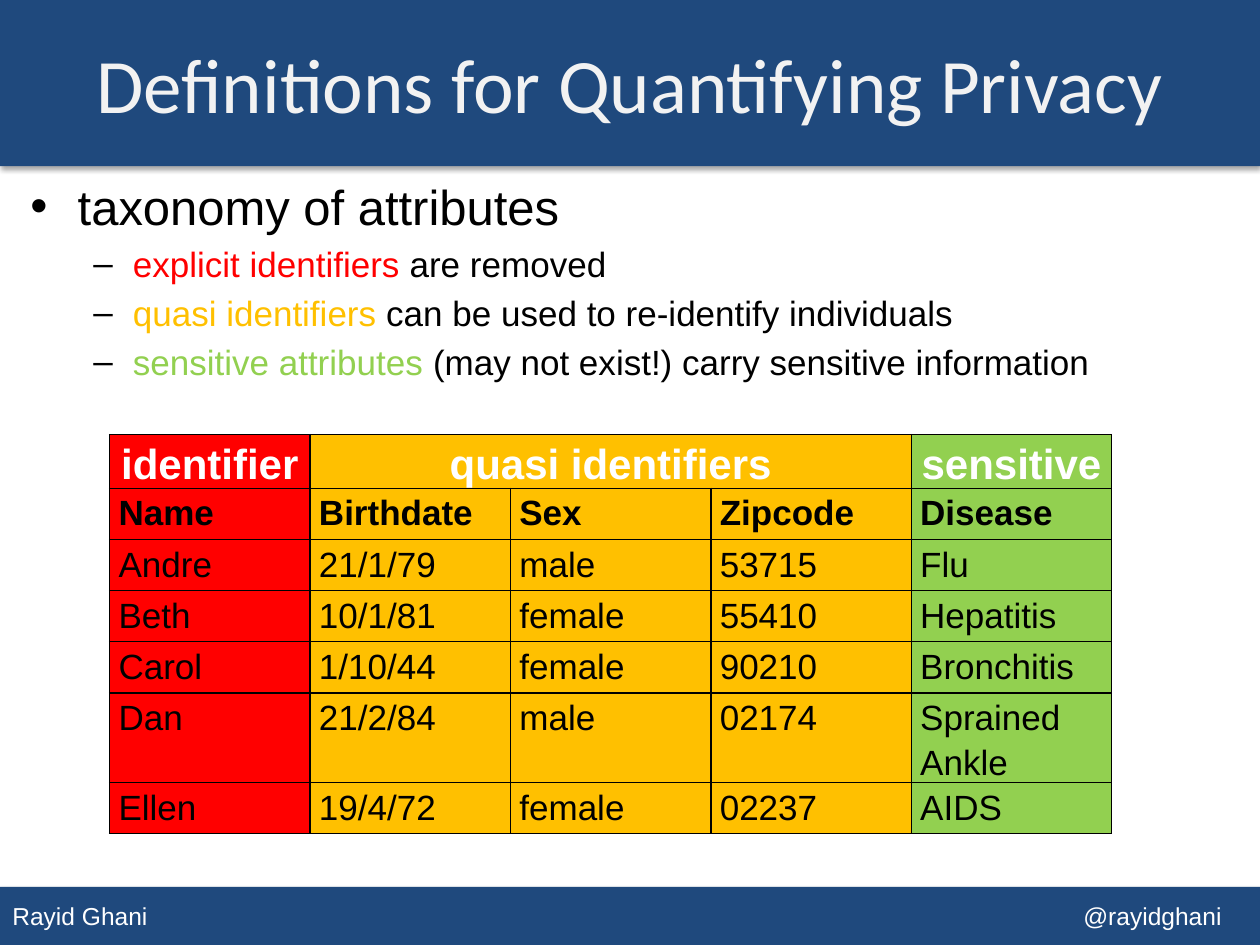
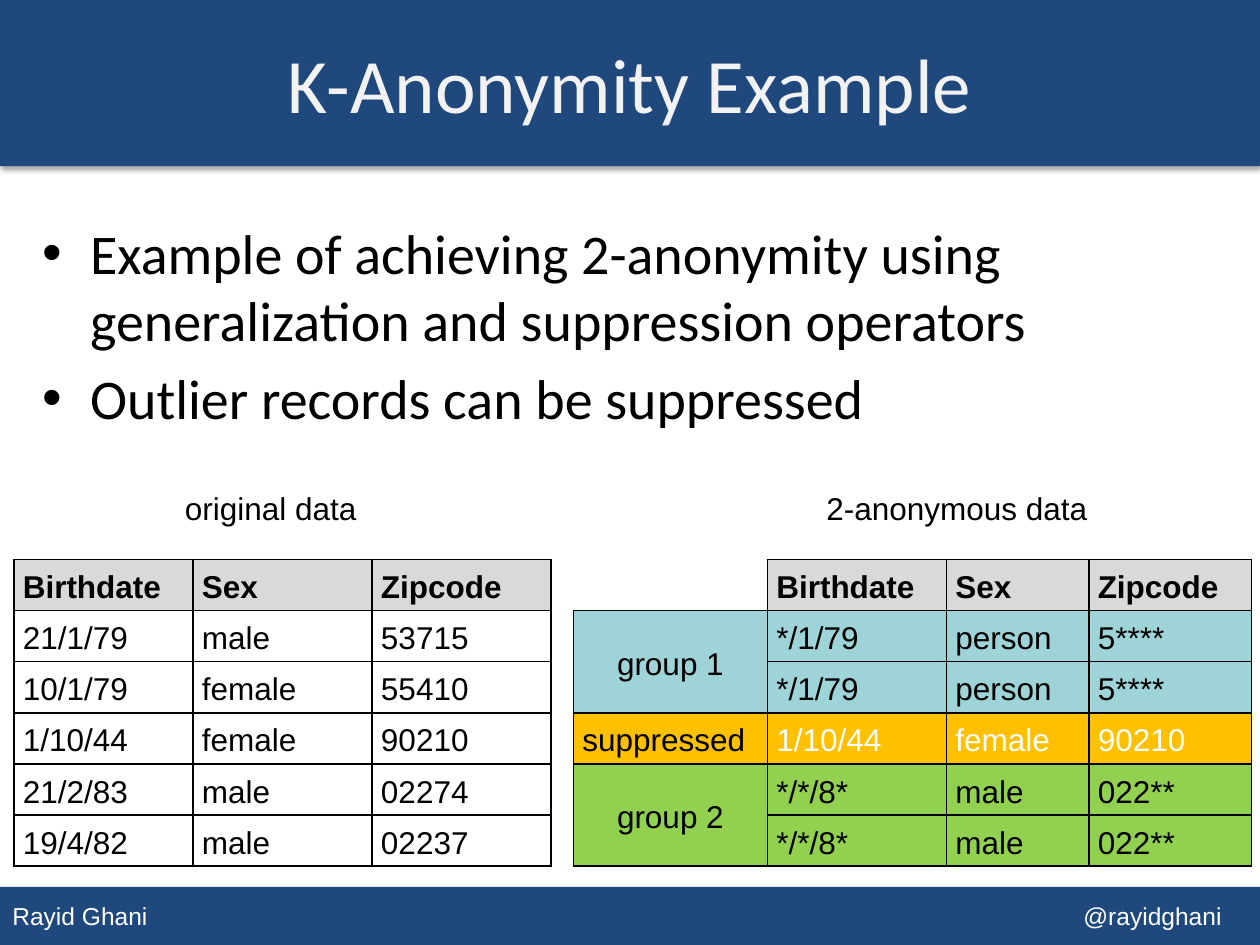
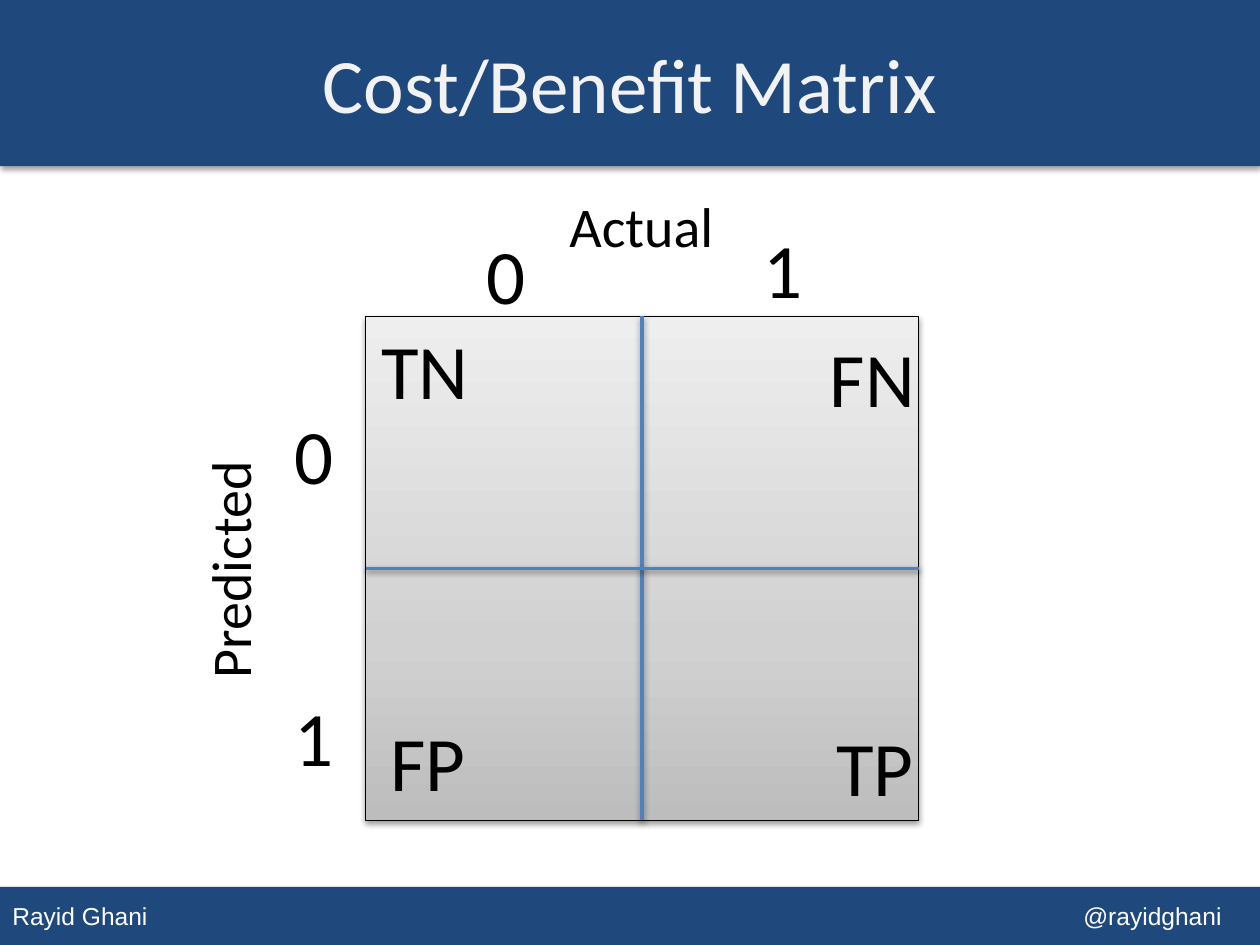
from lxml.etree import SubElement
from pptx import Presentation
from pptx.dml.color import RGBColor
from pptx.enum.shapes import MSO_CONNECTOR, MSO_SHAPE
from pptx.enum.text import MSO_ANCHOR, PP_ALIGN
from pptx.oxml import parse_xml
from pptx.oxml.ns import nsdecls, qn
from pptx.util import Cm, Pt

THEME = {
    "navy": "1F497D", "title": "F2F2F2", "white": "FFFFFF", "black": "000000",
    "red": "FF0000", "amber": "FFC000", "green": "92D050", "teal": "9ED3D7",
    "grey": "D9D9D9", "blue": "4F81BD",
    "heading": {"name": "Calibri", "size": Pt(44)},
    "body": {"name": "Calibri", "size": Pt(32)},
    "lead": {"name": "Arial", "size": Pt(28)},
    "detail": {"name": "Arial", "size": Pt(20)},
    "column": {"name": "Arial", "size": Pt(20), "bold": True},
    "group": {"name": "Arial", "size": Pt(24), "bold": True},
    "small": {"name": "Arial", "size": Pt(18)},
    "small_column": {"name": "Arial", "size": Pt(18), "bold": True},
    "footer": {"name": "Arial", "size": Pt(14)},
}


def add_run(p, text, style, color="black"):
    r = p.add_run()
    r.text = text
    for name, value in THEME[style].items():
        setattr(r.font, name, value)
    r.font.color.rgb = RGBColor.from_string(THEME[color])


def add_grid(s, left, top, widths, rows, fills, styles, anchor, light=(), centred=(), open_cells=()):
    shape = s.shapes.add_table(len(rows), len(widths), Cm(left), Cm(top),
                               Cm(sum(widths)), Cm(1.03 * len(rows)))
    table = shape.table
    table.first_row = table.horz_banding = False
    for column, width in zip(table.columns, widths):
        column.width = Cm(width)
    for i, row in enumerate(rows):
        table.rows[i].height = Cm(1.03)
        for j, text in enumerate(row):
            cell = table.cell(i, j)
            cell.margin_left = cell.margin_right = Cm(0.18)
            cell.margin_top = cell.margin_bottom = 0
            cell.vertical_anchor = anchor
            p = cell.text_frame.paragraphs[0]
            p.line_spacing = 1.15
            if (i, j) in centred:
                p.alignment = PP_ALIGN.CENTER
            if text:
                add_run(p, text, styles[i], "white" if (i, j) in light else "black")
            tcPr = cell._tc.get_or_add_tcPr()
            for side in ("R", "B") if (i, j) in open_cells else ("L", "R", "T", "B"):
                tcPr.append(parse_xml(
                    f'<a:ln{side} {nsdecls("a")} w="12700"><a:solidFill>'
                    f'<a:srgbClr val="{THEME["black"]}"/></a:solidFill></a:ln{side}>'))
            cell.fill.solid()
            cell.fill.fore_color.rgb = RGBColor.from_string(THEME[fills[i][j]])
    return table


prs = Presentation()
prs.slide_width, prs.slide_height = Cm(25.4), Cm(19.05)

slides = []
for title, layout in [("Definitions for Quantifying Privacy", 1),
                      ("K-Anonymity Example", 1),
                      ("Cost/Benefit Matrix", 5)]:
    s = prs.slides.add_slide(prs.slide_layouts[layout])
    sp = s.shapes.title
    sp.left, sp.top, sp.width, sp.height = Cm(0), Cm(0.08), Cm(25.4), Cm(3.18)
    sp.text_frame.vertical_anchor = MSO_ANCHOR.MIDDLE
    p = sp.text_frame.paragraphs[0]
    p.alignment = PP_ALIGN.CENTER
    add_run(p, title, "heading", "title")
    slides.append(s)
privacy, anonymity, cost = slides

shadowed = []
for order, (top, height, text) in enumerate([(17.88, 1.17, "Rayid Ghani\t@rayidghani"),
                                             (0, 3.35, "")]):
    sp = privacy.shapes.add_shape(MSO_SHAPE.RECTANGLE, 0, Cm(top), Cm(25.4), Cm(height))
    sp.fill.solid()
    sp.fill.fore_color.rgb = RGBColor.from_string(THEME["navy"])
    sp.line.fill.background()
    if text:
        sp.text_frame.vertical_anchor = MSO_ANCHOR.MIDDLE
        p = sp.text_frame.paragraphs[0]
        p.alignment = PP_ALIGN.LEFT
        tabs = SubElement(p._p.get_or_add_pPr(), qn("a:tabLst"))
        SubElement(tabs, qn("a:tab"), pos=str(Cm(21.59)), algn="l")
        add_run(p, text, "footer", "white")
    prs.slide_master.shapes.element.insert(2 + order, sp.element)
    shadowed.append((sp, 23000, 35000))

lists = [
    (privacy, (0.36, 3.43, 24.87, 11.43), [
        (0, "lead", [("taxonomy of attributes", "black")]),
        (1, "detail", [("explicit identifiers ", "red"), ("are removed", "black")]),
        (1, "detail", [("quasi identifiers", "amber"),
                       (" can be used to re-identify individuals", "black")]),
        (1, "detail", [("sensitive attributes ", "green"),
                       ("(may not exist!) carry sensitive information", "black")]),
    ]),
    (anonymity, (0.61, 4.27, 24.31, 13.26), [
        (0, "body", [("Example of achieving 2-anonymity using generalization "
                      "and suppression operators", "black")]),
        (0, "body", [("Outlier records can be suppressed", "black")]),
    ]),
]
for s, box, items in lists:
    sp = s.placeholders[1]
    sp.left, sp.top, sp.width, sp.height = [Cm(v) for v in box]
    tf = sp.text_frame
    for i, (level, style, runs) in enumerate(items):
        p = tf.add_paragraph() if i else tf.paragraphs[0]
        p.level = level
        bullet = SubElement(p._p.get_or_add_pPr(), qn("a:buClr"))
        SubElement(bullet, qn("a:srgbClr"), val=THEME["black"])
        for text, color in runs:
            add_run(p, text, style, color)

header = ["Birthdate", "Sex", "Zipcode"]
taxonomy = add_grid(
    privacy, 2.21, 8.76, [4.04] * 5,
    [["identifier", "quasi identifiers", "", "", "sensitive"],
     ["Name", *header, "Disease"],
     ["Andre", "21/1/79", "male", "53715", "Flu"],
     ["Beth", "10/1/81", "female", "55410", "Hepatitis"],
     ["Carol", "1/10/44", "female", "90210", "Bronchitis"],
     ["Dan", "21/2/84", "male", "02174", "Sprained Ankle"],
     ["Ellen", "19/4/72", "female", "02237", "AIDS"]],
    [["red", "amber", "amber", "amber", "green"]] * 7,
    ["group", "column"] + ["detail"] * 5, MSO_ANCHOR.TOP,
    light=[(0, j) for j in range(5)], centred=[(0, j) for j in range(5)])
taxonomy.cell(0, 1).merge(taxonomy.cell(0, 3))

small_styles = ["small_column"] + ["small"] * 5
add_grid(
    anonymity, 0.28, 11.28, [3.61] * 3,
    [header,
     ["21/1/79", "male", "53715"],
     ["10/1/79", "female", "55410"],
     ["1/10/44", "female", "90210"],
     ["21/2/83", "male", "02274"],
     ["19/4/82", "male", "02237"]],
    [["grey"] * 3] + [["white"] * 3] * 5, small_styles, MSO_ANCHOR.MIDDLE)

grouped = add_grid(
    anonymity, 11.56, 11.28, [3.91, 3.61, 2.87, 3.28],
    [["", *header],
     ["group 1", "*/1/79", "person", "5****"],
     ["", "*/1/79", "person", "5****"],
     ["suppressed", "1/10/44", "female", "90210"],
     ["group 2", "*/*/8*", "male", "022**"],
     ["", "*/*/8*", "male", "022**"]],
    [["white"] + ["grey"] * 3] + [["teal"] * 4] * 2 + [["amber"] * 4] + [["green"] * 4] * 2,
    small_styles, MSO_ANCHOR.MIDDLE,
    light=[(3, 1), (3, 2), (3, 3)], centred=[(1, 0), (4, 0)], open_cells=[(0, 0)])
for row in (1, 4):
    grouped.cell(row, 0).merge(grouped.cell(row + 1, 0))

left, top, width, height = 7.37, 6.38, 11.15, 10.16
matrix = cost.shapes.add_shape(MSO_SHAPE.RECTANGLE, Cm(left), Cm(top), Cm(width), Cm(height))
matrix.line.color.rgb = RGBColor.from_string(THEME["black"])
matrix.line.width = Pt(0.75)
stops = "".join(f'<a:gs pos="{pos}000"><a:srgbClr val="{color}"/></a:gs>'
                for pos, color in [(0, "BDBDBD"), (35, "D1D1D1"), (100, "EEEEEE")])
matrix.element.spPr.insert(2, parse_xml(
    f'<a:gradFill {nsdecls("a")}><a:gsLst>{stops}</a:gsLst><a:lin ang="16200000"/></a:gradFill>'))
shadowed.append((matrix, 20000, 38000))

mid_x, mid_y = left + width / 2, top + height / 2
for ends in [(mid_x, top, mid_x, top + height), (left, mid_y, left + width, mid_y)]:
    divider = cost.shapes.add_connector(MSO_CONNECTOR.STRAIGHT, *[Cm(v) for v in ends])
    divider.line.color.rgb = RGBColor.from_string(THEME["blue"])
    divider.line.width = Pt(2)
    shadowed.append((divider, 20000, 38000))

for shape, distance, alpha in shadowed:
    shape.element.spPr.append(parse_xml(
        f'<a:effectLst {nsdecls("a")}><a:outerShdw blurRad="40000" dist="{distance}" '
        f'dir="5400000" rotWithShape="0"><a:srgbClr val="{THEME["black"]}">'
        f'<a:alpha val="{alpha}"/></a:srgbClr></a:outerShdw></a:effectLst>'))

labels = [
    (anonymity, "original data", 3.48, 9.73, 6.15, 1.19, "small", 0),
    (anonymity, "2-anonymous data", 16.41, 9.73, 6.15, 1.19, "small", 0),
    (cost, "Predicted", 2.16, 10.64, 4.93, 1.63, "body", 270),
    (cost, "Actual", 11.23, 3.73, 3.45, 1.63, "body", 0),
    (cost, "0", 9.55, 4.47, 0.64, 2.13, "heading", 0),
    (cost, "0", 5.69, 8.1, 0.64, 2.13, "heading", 0),
    (cost, "1", 15.14, 4.34, 0.64, 2.13, "heading", 0),
    (cost, "1", 5.69, 13.77, 0.64, 2.13, "heading", 0),
    (cost, "TP", 16.61, 14.38, 2.57, 2.13, "heading", 0),
    (cost, "FN", 16.48, 6.53, 2.57, 2.13, "heading", 0),
    (cost, "TN", 7.44, 6.38, 2.57, 2.13, "heading", 0),
    (cost, "FP", 7.62, 14.27, 2.57, 2.13, "heading", 0),
]
for s, text, left, top, width, height, style, rotation in labels:
    sp = s.shapes.add_textbox(Cm(left), Cm(top), Cm(width), Cm(height))
    sp.rotation = rotation
    sp.text_frame.word_wrap = True
    add_run(sp.text_frame.paragraphs[0], text, style)

prs.save("out.pptx")
